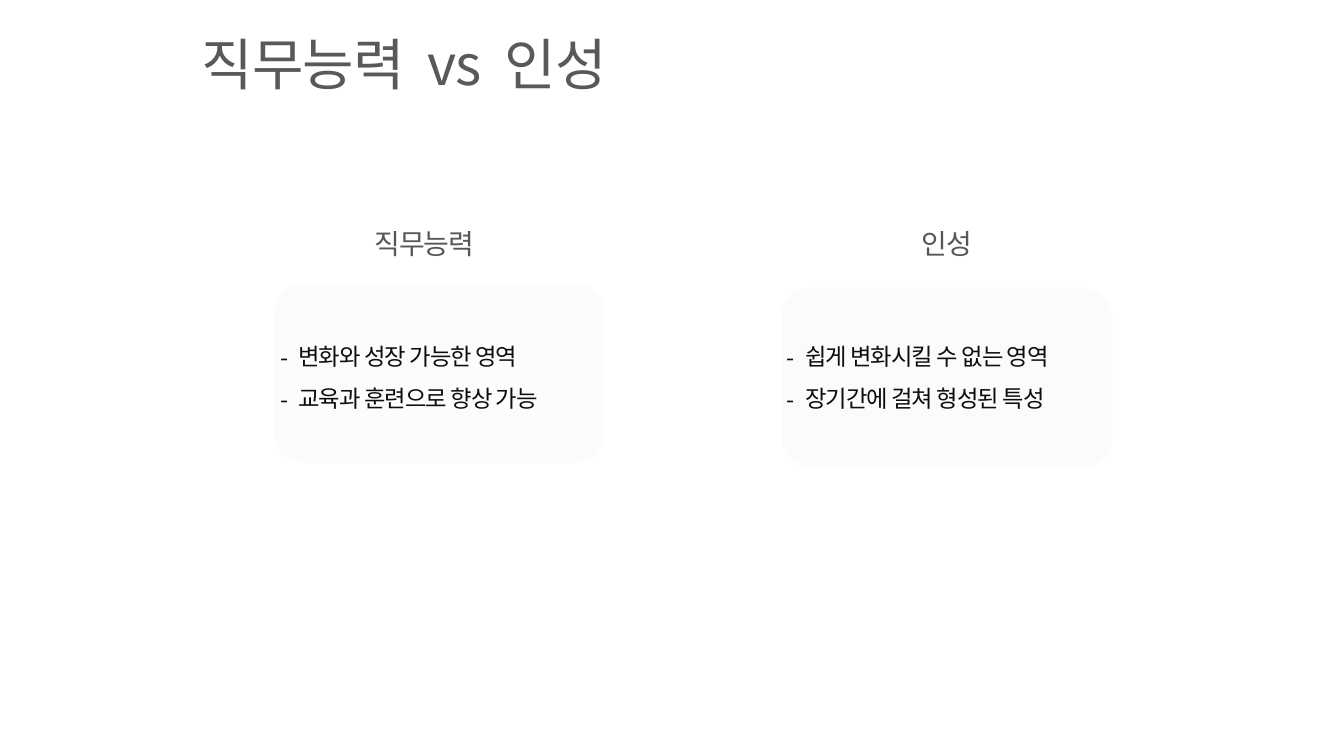
from dataclasses import dataclass

from lxml import etree
from pptx import Presentation
from pptx import util as u
from pptx.dml.color import RGBColor
from pptx.enum import shapes, text
from pptx.oxml.ns import qn

WIDTH, HEIGHT = u.Inches(20), u.Inches(11.25)
COLUMN, ROW = WIDTH / 100, HEIGHT / 100
COMPARISON_LAYOUT = 4


@dataclass(frozen=True)
class Theme:
    font: str = "Noto Sans CJK KR"
    title_size: int = 60
    heading_size: int = 30
    list_size: int = 25
    tracking: float = -1
    title_gap: float = 11
    title_color: str = "595959"
    heading_color: str = "000000"
    heading_opacity: int = 66
    list_color: str = "0D0D0D"
    background: str = "FFFFFF"


THEME = Theme()

TITLE_AREA = (15, 3.11, 50.4, 10.58)
SIDES = [
    {
        "heading": "직무능력",
        "points": ["변화와 성장 가능한 영역", "교육과 훈련으로 향상 가능"],
        "tint": "FCFCFA",
        "panel_area": (20.4, 37.42, 24.6, 23.73),
        "heading_area": (25.85, 31.02, 11.45, 3.47),
        "list_area": (20.85, 43.47, 21.55, 12.8),
    },
    {
        "heading": "인성",
        "points": ["쉽게 변화시킬 수 없는 영역", "장기간에 걸쳐 형성된 특성"],
        "tint": "FBFAFC",
        "panel_area": (58.15, 38.04, 24.6, 23.73),
        "heading_area": (64.7, 31.02, 11.45, 3.47),
        "list_area": (58.55, 43.38, 21.45, 19.56),
    },
]


def on_grid(area):
    left, top, width, height = area
    return (int(left * COLUMN), int(top * ROW),
            int(width * COLUMN), int(height * ROW))


def prepare(placeholder, area, anchor):
    (placeholder.left, placeholder.top,
     placeholder.width, placeholder.height) = on_grid(area)
    frame = placeholder.text_frame
    frame.margin_left = frame.margin_right = 0
    frame.margin_top = frame.margin_bottom = 0
    frame.word_wrap = True
    frame.auto_size = text.MSO_AUTO_SIZE.NONE
    frame.vertical_anchor = anchor
    return frame


def add_words(paragraph, words, size, color, tracking=THEME.tracking, opacity=100):
    run = paragraph.add_run()
    run.text = words
    run.font.size = u.Pt(size)
    run.font.bold = False
    run.font.color.rgb = RGBColor.from_string(color)
    run.font.name = THEME.font
    properties = run.font._element
    properties.set("spc", str(int(tracking * 100)))
    etree.SubElement(properties, qn("a:ea")).set("typeface", THEME.font)
    if opacity < 100:
        tone = properties.find(f".//{qn('a:srgbClr')}")
        etree.SubElement(tone, qn("a:alpha")).set("val", str(opacity * 1000))


def set_spacing(paragraph, line_spacing, alignment=text.PP_ALIGN.LEFT):
    paragraph.alignment = alignment
    paragraph.line_spacing = line_spacing
    paragraph.space_before = paragraph.space_after = u.Pt(0)


def set_dash(paragraph):
    indent = int(u.Inches(0.27))
    properties = paragraph._p.get_or_add_pPr()
    properties.set("marL", str(indent))
    properties.set("indent", str(-indent))
    etree.SubElement(properties, qn("a:buFont")).set("typeface", THEME.font)
    etree.SubElement(properties, qn("a:buChar")).set("char", "-")


def fill_title(title):
    paragraph = prepare(title, TITLE_AREA, text.MSO_ANCHOR.MIDDLE).paragraphs[0]
    set_spacing(paragraph, 1.0)
    for words in ("직무능력", " ", "vs", " ", "인성"):
        tracking = THEME.title_gap if words == " " else THEME.tracking
        add_words(paragraph, words, THEME.title_size, THEME.title_color, tracking)


def fill_heading(heading, side):
    frame = prepare(heading, side["heading_area"], text.MSO_ANCHOR.TOP)
    paragraph = frame.paragraphs[0]
    set_spacing(paragraph, u.Pt(27.5), text.PP_ALIGN.CENTER)
    add_words(paragraph, side["heading"], THEME.heading_size,
              THEME.heading_color, opacity=THEME.heading_opacity)


def fill_list(body, side):
    frame = prepare(body, side["list_area"], text.MSO_ANCHOR.TOP)
    for index, point in enumerate(side["points"]):
        paragraph = frame.add_paragraph() if index else frame.paragraphs[0]
        set_spacing(paragraph, 1.5)
        set_dash(paragraph)
        add_words(paragraph, point, THEME.list_size, THEME.list_color)


def add_panel(slide, side):
    panel = slide.shapes.add_shape(
        shapes.MSO_SHAPE.ROUNDED_RECTANGLE, *on_grid(side["panel_area"]))
    panel.shadow.inherit = False
    panel.fill.solid()
    panel.fill.fore_color.rgb = RGBColor.from_string(side["tint"])
    panel.line.fill.background()
    slide.shapes.title._element.addprevious(panel._element)


def main():
    deck = Presentation()
    deck.slide_width, deck.slide_height = WIDTH, HEIGHT
    slide = deck.slides.add_slide(deck.slide_layouts[COMPARISON_LAYOUT])
    slide.background.fill.solid()
    slide.background.fill.fore_color.rgb = RGBColor.from_string(THEME.background)

    title, *blocks = slide.placeholders
    fill_title(title)
    for side, heading, body in zip(SIDES, blocks[::2], blocks[1::2]):
        add_panel(slide, side)
        fill_heading(heading, side)
        fill_list(body, side)
    deck.save("out.pptx")


if __name__ == "__main__":
    main()
